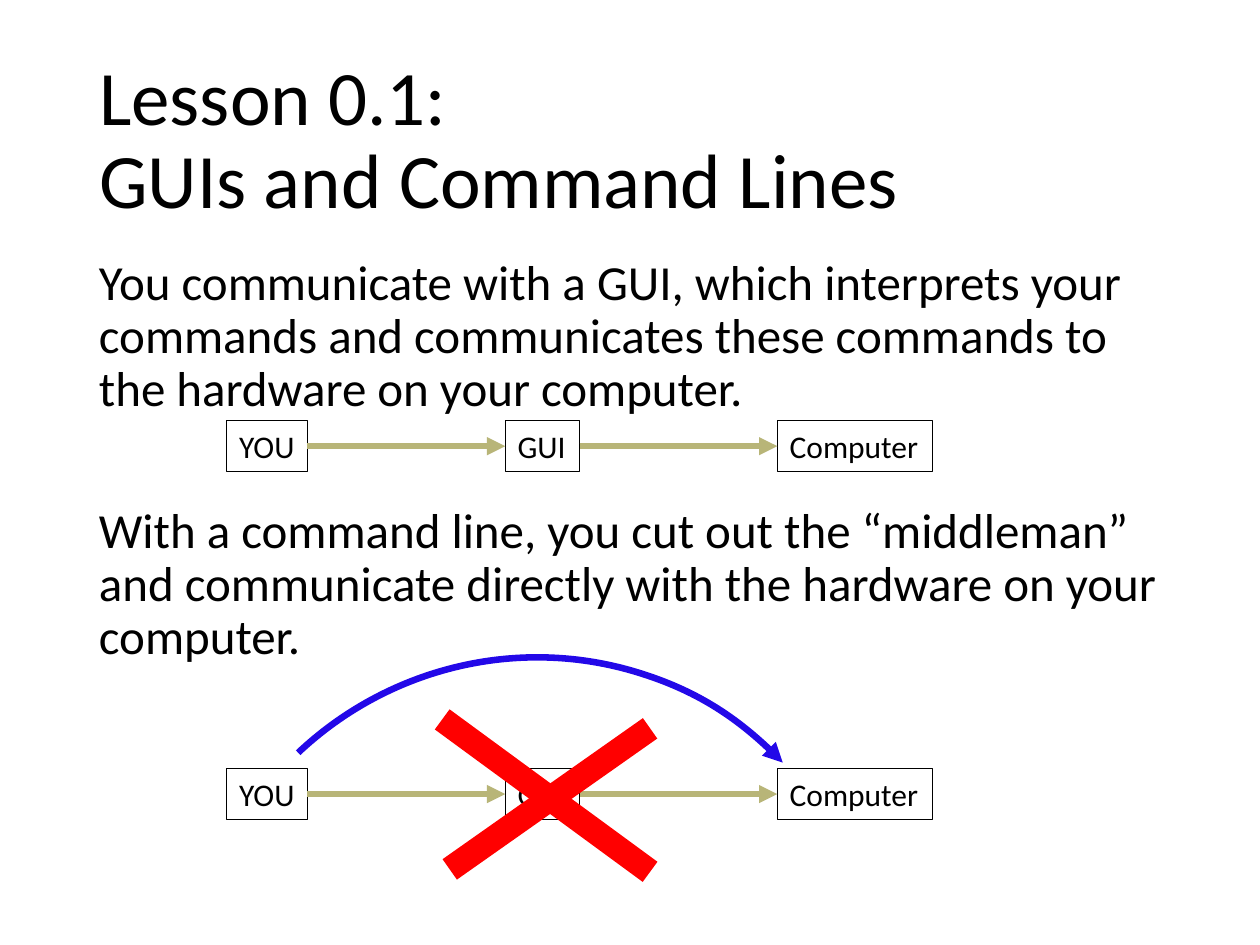
from pptx import Presentation
from pptx.dml.color import RGBColor
from pptx.enum.shapes import MSO_CONNECTOR, MSO_SHAPE
from pptx.enum.text import MSO_ANCHOR, MSO_AUTO_SIZE, PP_ALIGN
from pptx.oxml.ns import qn
from pptx.util import Pt
from lxml.etree import SubElement

TITLE = "Lesson 0.1:\vGUIs and Command Lines"
BODY = [
    ("You communicate with a GUI, which interprets your commands and "
     "communicates these commands to the hardware on your computer.", 0),
    ("With a command line, you cut out the “middleman” and communicate "
     "directly with the hardware on your computer.", 50.8),
]
STAGES = [("YOU", 129.6, 46.1), ("GUI", 288.7, 42.5), ("Computer", 444.2, 88.6)]
ROW_TOPS = [240.4, 439.2]
BOX_HEIGHT = 29.1
CROSS = [(252.7, 411.1, 371.5, 498.2), (257, 496.8, 371.5, 416.2)]
ARC = (105.8, 377.3, 395.3, 388.1)
ARC_ROTATION = 316.7
BLACK, KHAKI, BLUE, RED = "000000", "B8B578", "2308E8", "FF0000"


def rgb(color):
    return RGBColor.from_string(color)


def points(values):
    return [Pt(v) for v in values]


def format_text(p, size, **formats):
    for name, value in formats.items():
        setattr(p, name, value)
    for name, value in {"name": "Calibri", "size": Pt(size)}.items():
        setattr(p.font, name, value)
    p.font.color.rgb = rgb(BLACK)


def format_line(sp, color, width, arrow=False):
    sp.line.color.rgb = rgb(color)
    sp.line.width = Pt(width)
    if arrow:
        SubElement(sp.line._get_or_add_ln(), qn("a:tailEnd"), type="triangle")


def add_line(s, ends, color, width, arrow=False):
    line = s.shapes.add_connector(MSO_CONNECTOR.STRAIGHT, *points(ends))
    format_line(line, color, width, arrow)
    SubElement(line._element.spPr, qn("a:effectLst"))
    return line


def add_box(s, text, left, top, width):
    box = s.shapes.add_shape(MSO_SHAPE.RECTANGLE,
                             *points((left, top, width, BOX_HEIGHT)))
    box.shadow.inherit = False
    box.fill.background()
    format_line(box, BLACK, 0.75)
    tf = box.text_frame
    tf.text = text
    tf.word_wrap = False
    tf.auto_size = MSO_AUTO_SIZE.SHAPE_TO_FIT_TEXT
    tf.vertical_anchor = MSO_ANCHOR.TOP
    format_text(tf.paragraphs[0], 18, alignment=PP_ALIGN.LEFT)
    return box


def add_title(s):
    title = s.shapes.title
    title.left, title.top, title.width, title.height = points((49.5, 28.8, 621, 104.4))
    tf = title.text_frame
    tf.text = TITLE
    tf.auto_size = MSO_AUTO_SIZE.NONE
    tf.vertical_anchor = MSO_ANCHOR.MIDDLE
    format_text(tf.paragraphs[0], 44, alignment=PP_ALIGN.LEFT, line_spacing=0.9)


def add_body(s):
    tf = s.shapes.add_textbox(*points((49.5, 144, 621, 342.7))).text_frame
    tf.word_wrap = True
    for i, (text, gap) in enumerate(BODY):
        p = tf.add_paragraph() if i else tf.paragraphs[0]
        p.text = text
        format_text(p, 28, line_spacing=0.9, space_before=Pt(gap))


def add_flow(s, top):
    boxes = [add_box(s, text, left, top, width) for text, left, width in STAGES]
    y = top + BOX_HEIGHT / 2
    for i, (start, end) in enumerate(zip(boxes, boxes[1:])):
        _, left, width = STAGES[i]
        arrow = add_line(s, (left + width, y, STAGES[i + 1][1], y), KHAKI, 3.5, True)
        arrow.begin_connect(start, 3)
        arrow.end_connect(end, 1)


def add_bypass(s):
    arc = s.shapes.add_shape(MSO_SHAPE.ARC, *points(ARC))
    arc.rotation = ARC_ROTATION
    arc.shadow.inherit = False
    arc.fill.background()
    format_line(arc, BLUE, 3.75, True)


def main():
    prs = Presentation()
    prs.slide_width, prs.slide_height = points((720, 540))
    s = prs.slides.add_slide(prs.slide_layouts[5])
    add_title(s)
    add_body(s)
    for top in ROW_TOPS:
        add_flow(s, top)
    add_bypass(s)
    for ends in CROSS:
        add_line(s, ends, RED, 14.25)
    prs.save("out.pptx")


if __name__ == "__main__":
    main()
